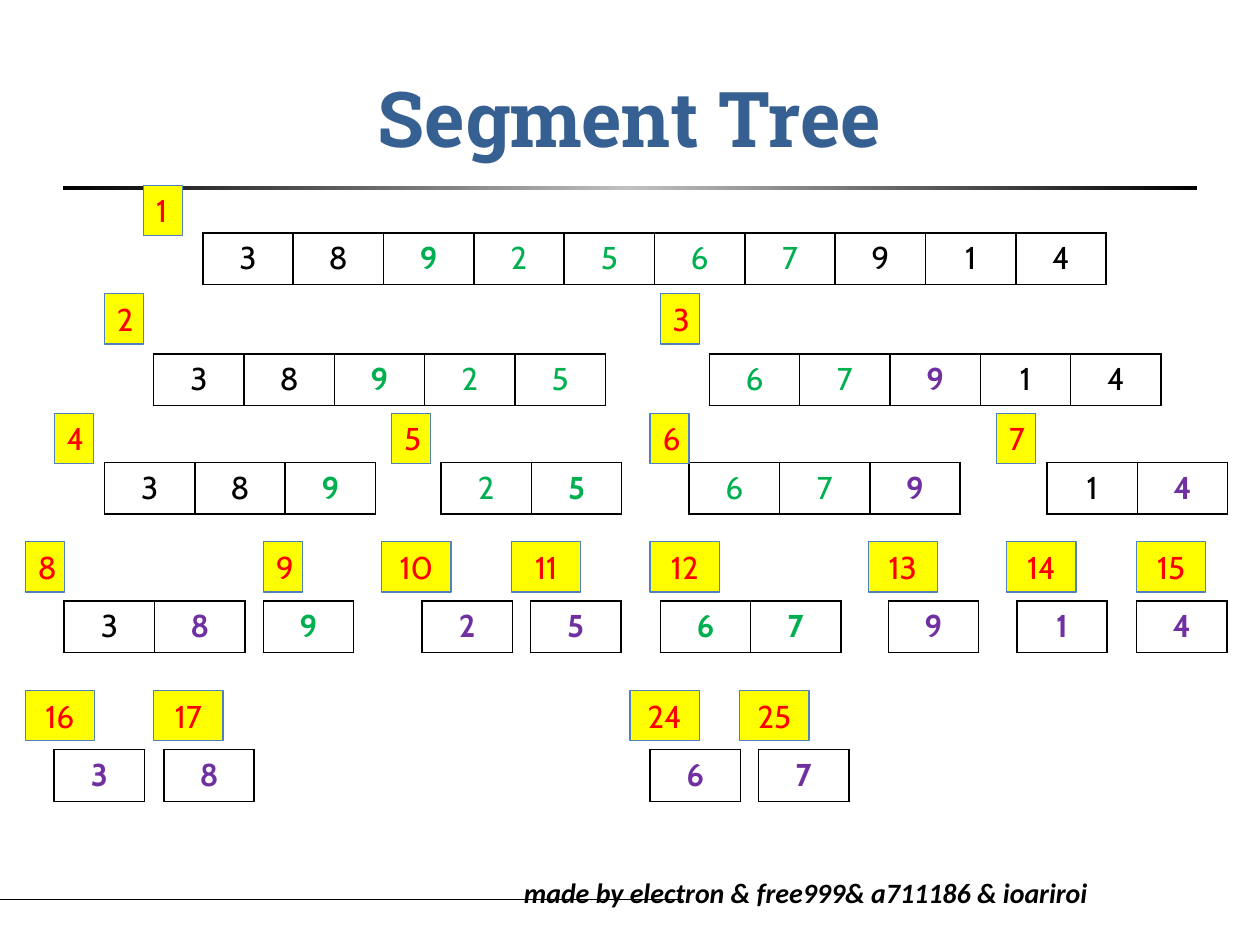
from copy import deepcopy
from dataclasses import dataclass

from lxml import etree
from pptx import Presentation
from pptx.dml.color import RGBColor
from pptx.enum.shapes import MSO_CONNECTOR, MSO_SHAPE
from pptx.enum.text import MSO_ANCHOR, PP_ALIGN
from pptx.oxml.ns import qn
from pptx.util import Inches, Pt

LEFT, CENTER = PP_ALIGN.LEFT, PP_ALIGN.CENTER
MIDDLE = MSO_ANCHOR.MIDDLE
RECTANGLE = MSO_SHAPE.RECTANGLE
STRAIGHT = MSO_CONNECTOR.STRAIGHT


@dataclass(frozen=True)
class Theme:
    black: str = "000000"
    white: str = "FFFFFF"
    silver: str = "C0C0C0"
    title: str = "376092"
    label_fill: str = "FFFF00"
    label_line: str = "4F81BD"
    label_text: str = "FF0000"
    green: str = "00B050"
    purple: str = "7030A0"
    title_font: str = "Roboto Slab"
    body_font: str = "Cabin"
    credit_font: str = "Calibri"
    title_size: float = 44
    body_size: float = 18
    credit_size: float = 16


THEME = Theme()

# Cell styles: colour and weight for each mark
CELL_STYLES = {
    "k": (THEME.black, False),
    "g": (THEME.green, False),
    "G": (THEME.green, True),
    "P": (THEME.purple, True),
}
CELL_WIDTH, CELL_HEIGHT = 0.717, 0.41
LABEL_HEIGHT = 0.4


@dataclass(frozen=True)
class Node:
    number: int
    label_left: float
    table_left: float
    values: str
    marks: str


@dataclass(frozen=True)
class Level:
    label_top: float
    table_top: float
    nodes: tuple[Node, ...]


LEVELS = (
    Level(1.47, 1.85, (
        Node(1, 1.14, 1.61, "3892567914", "kkGggggkkk"),
    )),
    Level(2.33, 2.81, (
        Node(2, 0.83, 1.22, "38925", "kkGgg"),
        Node(3, 5.24, 5.63, "67914", "ggPkk"),
    )),
    Level(3.28, 3.67, (
        Node(4, 0.43, 0.83, "389", "kkG"),
        Node(5, 3.11, 3.5, "25", "gG"),
        Node(6, 5.16, 5.47, "679", "ggP"),
        Node(7, 7.91, 8.31, "14", "kP"),
    )),
    Level(4.3, 4.77, (
        Node(8, 0.2, 0.51, "38", "kP"),
        Node(9, 2.09, 2.09, "9", "G"),
        Node(10, 3.03, 3.35, "2", "P"),
        Node(11, 4.06, 4.21, "5", "P"),
        Node(12, 5.16, 5.24, "67", "GG"),
        Node(13, 6.89, 7.05, "9", "P"),
        Node(14, 7.99, 8.07, "1", "P"),
        Node(15, 9.02, 9.02, "4", "P"),
    )),
    Level(5.48, 5.95, (
        Node(16, 0.2, 0.43, "3", "P"),
        Node(17, 1.22, 1.3, "8", "P"),
        Node(24, 5, 5.16, "6", "P"),
        Node(25, 5.87, 6.02, "7", "P"),
    )),
)


def color(value: str) -> RGBColor:
    return RGBColor.from_string(value)


def write_text(frame, text: str, *, font: str = THEME.body_font,
               size: float = THEME.body_size, fill: str = THEME.black,
               bold: bool = False, italic: bool = False, align=CENTER) -> None:
    paragraph = frame.paragraphs[0]
    paragraph.alignment = align
    run = paragraph.add_run()
    run.text = text
    run.font.name = font
    run.font.size = Pt(size)
    run.font.color.rgb = color(fill)
    run.font.bold = bold
    run.font.italic = italic


def add_box(slide, left: float, top: float, width: float, height: float):
    return slide.shapes.add_textbox(
        Inches(left), Inches(top), Inches(width), Inches(height))


def add_border(cell) -> None:
    properties = cell._tc.get_or_add_tcPr()
    for index, side in enumerate(("a:lnL", "a:lnR", "a:lnT", "a:lnB")):
        line = etree.Element(qn(side), w=str(Pt(1)))
        fill = etree.SubElement(line, qn("a:solidFill"))
        etree.SubElement(fill, qn("a:srgbClr"), val=THEME.black)
        properties.insert(index, line)


def add_array(slide, node: Node, top: float) -> None:
    count = len(node.values)
    table = slide.shapes.add_table(
        1, count, Inches(node.table_left), Inches(top),
        Inches(CELL_WIDTH * count), Inches(CELL_HEIGHT)).table
    table.first_row = table.horz_banding = False
    for index, (value, mark) in enumerate(zip(node.values, node.marks)):
        table.columns[index].width = Inches(CELL_WIDTH)
        cell = table.cell(0, index)
        cell.fill.solid()
        cell.fill.fore_color.rgb = color(THEME.white)
        add_border(cell)
        fill, bold = CELL_STYLES[mark]
        write_text(cell.text_frame, value, fill=fill, bold=bold)


def add_label(slide, node: Node, top: float) -> None:
    two_digits = node.number > 9
    label = add_box(slide, node.label_left, top,
                    0.55 if two_digits else 0.31, LABEL_HEIGHT)
    label.fill.solid()
    label.fill.fore_color.rgb = color(THEME.label_fill)
    label.line.color.rgb = color(THEME.label_line)
    label.line.width = Pt(0.75)
    label.text_frame.word_wrap = two_digits
    write_text(label.text_frame, str(node.number), fill=THEME.label_text,
               align=CENTER if two_digits else LEFT)


def add_footer(slide) -> None:
    line = slide.shapes.add_connector(
        STRAIGHT, Inches(-0.83), Inches(7.14), Inches(5.42), Inches(7.14))
    line.line.color.rgb = color(THEME.black)
    line.line.width = Pt(0.5)
    etree.SubElement(line._element.spPr, qn("a:effectLst"))
    credit = add_box(slide, 4.06, 6.9, 4.77, 0.64)
    credit.text_frame.word_wrap = True
    write_text(credit.text_frame, "made by electron & free999& a711186 & ioariroi",
               font=THEME.credit_font, size=THEME.credit_size,
               bold=True, italic=True, align=LEFT)


def add_title_rule(slide) -> None:
    rule = slide.shapes.add_shape(
        RECTANGLE, Inches(0.5), Inches(1.48), Inches(9), Inches(0.03))
    rule.shadow.inherit = False
    rule.line.fill.background()
    rule.fill.gradient()
    rule.fill.gradient_angle = 0
    # A third stop puts the light colour in the middle
    stops = rule._element.spPr.find(qn("a:gradFill")).find(qn("a:gsLst"))
    stops.insert(1, deepcopy(stops[0]))
    shades = (THEME.black, THEME.silver, THEME.black)
    for index, (stop, shade) in enumerate(zip(rule.fill.gradient_stops, shades)):
        stop.position = index / 2
        stop.color.rgb = color(shade)


def add_title(slide) -> None:
    title = add_box(slide, 0.5, 0.3, 9, 1.25)
    title.text_frame.word_wrap = True
    title.text_frame.vertical_anchor = MIDDLE
    write_text(title.text_frame, "Segment Tree", font=THEME.title_font,
               size=THEME.title_size, fill=THEME.title, bold=True)


def main() -> None:
    presentation = Presentation()
    presentation.slide_width = Inches(10)
    presentation.slide_height = Inches(7.5)
    slide = presentation.slides.add_slide(presentation.slide_layouts[6])

    # Frame of the slide
    add_footer(slide)
    add_title_rule(slide)
    add_title(slide)

    # Tree, level by level
    for level in LEVELS:
        for node in level.nodes:
            add_array(slide, node, level.table_top)
            add_label(slide, node, level.label_top)

    presentation.save("out.pptx")


if __name__ == "__main__":
    main()
